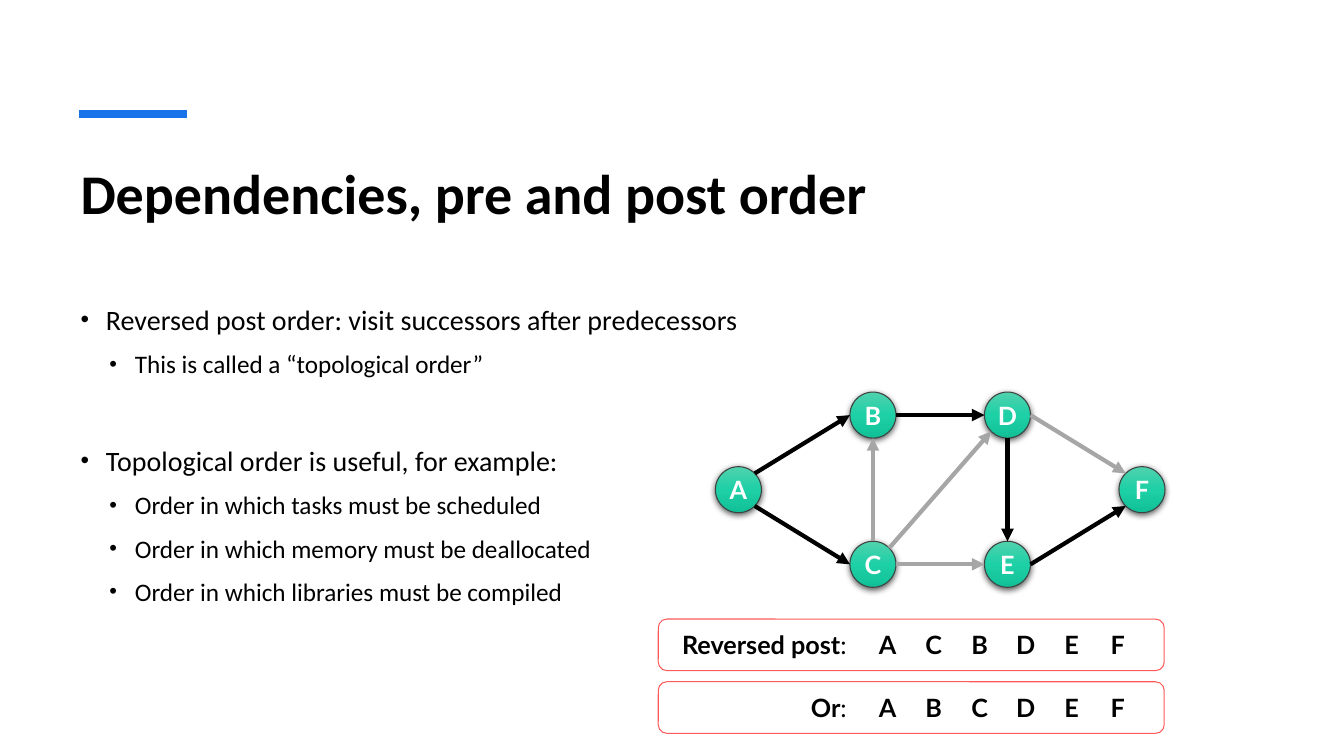
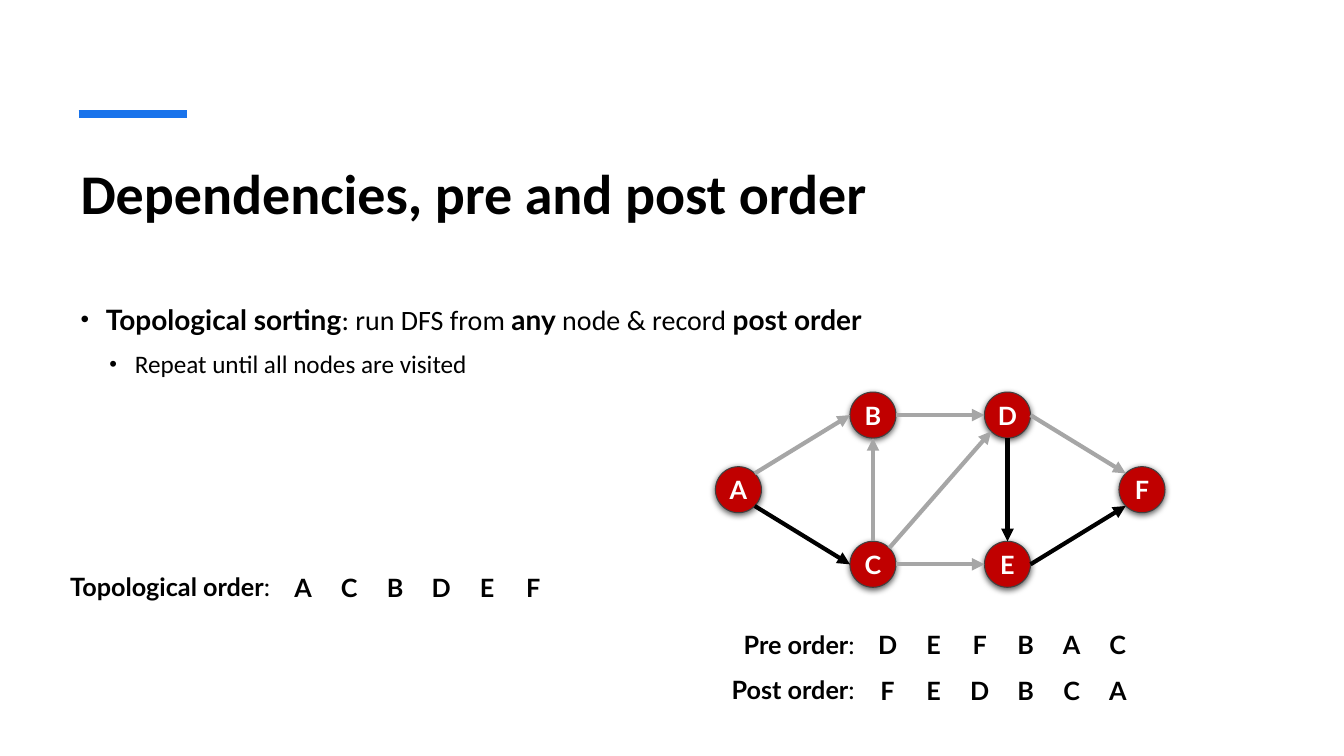
from math import cos, radians, sin

from lxml import etree
from pptx import Presentation
from pptx.dml.color import RGBColor
from pptx.enum.shapes import MSO_CONNECTOR, MSO_SHAPE
from pptx.enum.text import MSO_ANCHOR, PP_ALIGN
from pptx.oxml.ns import qn
from pptx.util import Cm, Pt

OVAL, ROUNDED = MSO_SHAPE.OVAL, MSO_SHAPE.ROUNDED_RECTANGLE
STRAIGHT = MSO_CONNECTOR.STRAIGHT
TOP, MIDDLE = MSO_ANCHOR.TOP, MSO_ANCHOR.MIDDLE
LEFT, CENTER, RIGHT = PP_ALIGN.LEFT, PP_ALIGN.CENTER, PP_ALIGN.RIGHT

# Shared look
BLACK, WHITE, GREY = "000000", "FFFFFF", "A6A6A6"
ACCENT, OUTLINE, FRAME = "1973EB", "404040", "FE5A5A"
GREEN = [(0, "50D2AE"), (50, "1DD0A6"), (100, "12C098")]
RED = "C00000"
FORMATS = {
    "title": {"name": "Calibri", "size": Pt(40), "bold": True},
    "body": {"name": "Calibri", "size": Pt(20), "bold": False},
    "body bold": {"name": "Lato", "size": Pt(20), "bold": True},
    "sub": {"name": "Calibri", "size": Pt(18), "bold": False},
    "label": {"name": "Lato", "size": Pt(18), "bold": True},
    "colon": {"name": "Lato", "size": Pt(18), "bold": False},
}
# Level: left margin in cm, space before in pt
LEVELS = [(0.64, 10), (1.37, 5)]
SECTION_GAP = 41

# Graph: column and row of each node, edges with the sides they join
NODES = {"A": (0, 1), "B": (1, 0), "C": (1, 2),
         "D": (2, 0), "E": (2, 2), "F": (3, 1)}
EDGES = [("A", "NE", "B", "W"), ("B", "E", "D", "W"), ("A", "SE", "C", "W"),
         ("C", "E", "E", "W"), ("C", "N", "B", "S"), ("D", "E", "F", "NW"),
         ("E", "E", "F", "SW"), ("D", "S", "E", "N"), ("C", "NE", "D", "SW")]
SIDES = ["N", "NW", "W", "SW", "S", "SE", "E", "NE"]
GRAPH_X, GRAPH_Y, COL_STEP, ROW_STEP = 18.61, 10.46, 3.39, 1.88
NODE = 1.16

# Slides; bullet: level, runs, space before (None for the usual one)
# Order: label, letters, label left, letters left, top, framed
TITLE = "Dependencies, pre and post order"
SLIDES = [
    {
        "body_size": (19.28, 10.9),
        "bullets": [
            (0, [("Reversed post order: visit successors after predecessors", "body")], None),
            (1, [("This is called a “topological order”", "sub")], None),
            (0, [("Topological order is useful, for example:", "body")], SECTION_GAP),
            (1, [("Order in which tasks must be scheduled", "sub")], None),
            (1, [("Order in which memory must be deallocated", "sub")], None),
            (1, [("Order in which libraries must be compiled", "sub")], None),
        ],
        "node_fill": GREEN,
        "used_edges": {"AB", "BD", "AC", "EF", "DE"},
        "label_gap": 0.2,
        "orders": [("Reversed post", "ACBDEF", 16.59, 21.79, 15.67, True),
                   ("Or", "ABCDEF", 16.59, 21.79, 17.25, True)],
    },
    {
        "body_size": (27.1, 5.03),
        "bullets": [
            (0, [("Topological sorting", "body bold"), (": run DFS from ", "body"),
                 ("any", "body bold"), (" node & record ", "body"),
                 ("post order", "body bold")], None),
            (1, [("Repeat until all nodes are visited", "sub")], None),
        ],
        "node_fill": RED,
        "used_edges": {"AC", "EF", "DE"},
        "label_gap": 0,
        "orders": [("Pre order", "DEFBAC", 16.94, 21.79, 15.67, False),
                   ("Post order", "FEDBCA", 16.94, 21.79, 16.81, False),
                   ("Topological order", "ACBDEF", 0.69, 7.06, 14.22, False)],
    },
]


def rgb(color):
    return RGBColor.from_string(color)


def sub(parent, tag, **attrs):
    return etree.SubElement(parent, qn(tag), {k: str(v) for k, v in attrs.items()})


def write(p, runs, color=BLACK, align=LEFT):
    p.alignment = align
    for text, style in runs:
        r = p.add_run()
        r.text = text
        for name, value in FORMATS[style].items():
            setattr(r.font, name, value)
        r.font.color.rgb = rgb(color)


def add_text(s, x, y, w, h):
    tf = s.shapes.add_textbox(Cm(x), Cm(y), Cm(w), Cm(h)).text_frame
    tf.word_wrap = True
    tf.vertical_anchor = TOP
    return tf


def add_line(s, start, end, color, width):
    line = s.shapes.add_connector(STRAIGHT, *[Cm(v) for v in (*start, *end)])
    line.line.color.rgb = rgb(color)
    line.line.width = Pt(width)
    sub(line.element.spPr, "a:effectLst")
    return line


def add_shape(s, kind, x, y, w, h, outline=None):
    sp = s.shapes.add_shape(kind, Cm(x), Cm(y), Cm(w), Cm(h))
    sp.shadow.inherit = False
    sp.fill.background()
    if outline:
        sp.line.color.rgb = rgb(outline)
        sp.line.width = Pt(0.75)
    else:
        sp.line.fill.background()
    return sp


def add_letter(s, letter, x, y, color=BLACK, outline=None):
    sp = add_shape(s, OVAL, x, y, NODE, NODE, outline)
    tf = sp.text_frame
    tf.margin_left = tf.margin_right = tf.margin_top = tf.margin_bottom = 0
    tf.word_wrap = False
    tf.vertical_anchor = MIDDLE
    write(tf.paragraphs[0], [(letter, "label")], color, CENTER)
    return sp


def fill_node(sp, fill):
    if isinstance(fill, str):
        sp.fill.solid()
        sp.fill.fore_color.rgb = rgb(fill)
    else:
        sp.fill.gradient()
        sp.fill.gradient_angle = 270
        stops = sp.element.spPr.find(".//" + qn("a:gsLst"))
        for stop in list(stops):
            stops.remove(stop)
        for pos, color in fill:
            sub(sub(stops, "a:gs", pos=pos * 1000), "a:srgbClr", val=color)
    # Soft shadow straight below
    shadow = sub(sp.element.spPr.find(qn("a:effectLst")), "a:outerShdw",
                 blurRad=Pt(4.5), dist=Pt(1.5), dir=5400000, rotWithShape=0)
    sub(sub(shadow, "a:srgbClr", val=BLACK), "a:alpha", val=63000)


def add_header(s):
    add_line(s, (1.98, 2.87), (4.7, 2.87), ACCENT, 6)
    tf = add_text(s, 1.78, 3.86, 30.25, 3)
    write(tf.paragraphs[0], [(TITLE, "title")])


def add_bullets(s, bullets, size):
    tf = add_text(s, 1.78, 7.32, *size)
    for i, (level, runs, gap) in enumerate(bullets):
        p = tf.add_paragraph() if i else tf.paragraphs[0]
        margin, before = LEVELS[level]
        p.level = level
        p.line_spacing = 1.2
        p.space_before = Pt(gap or before)
        write(p, runs)
        pPr = p._p.get_or_add_pPr()
        pPr.set("marL", str(Cm(margin)))
        pPr.set("indent", str(-Cm(0.64)))
        sub(pPr, "a:buSzPct", val=87000)
        sub(pPr, "a:buFont", typeface="Arial")
        sub(pPr, "a:buChar", char="•")


def node_center(name):
    col, row = NODES[name]
    return GRAPH_X + col * COL_STEP, GRAPH_Y + row * ROW_STEP


def node_side(name, side):
    x, y = node_center(name)
    angle = radians(90 + 45 * SIDES.index(side))
    return x + NODE / 2 * cos(angle), y - NODE / 2 * sin(angle)


def add_graph(s, fill, used):
    nodes = {}
    for name in NODES:
        x, y = node_center(name)
        nodes[name] = add_letter(s, name, x - NODE / 2, y - NODE / 2, WHITE, OUTLINE)
        fill_node(nodes[name], fill)
    for a, side_a, b, side_b in EDGES:
        edge = add_line(s, node_side(a, side_a), node_side(b, side_b),
                        BLACK if a + b in used else GREY, 3)
        sub(edge.element.spPr.find(qn("a:ln")), "a:tailEnd", type="triangle")
        # Glue both ends to their nodes
        glue = edge.element.find(".//" + qn("p:cNvCxnSpPr"))
        for tag, name, side in (("a:stCxn", a, side_a), ("a:endCxn", b, side_b)):
            sub(glue, tag, id=nodes[name].shape_id, idx=SIDES.index(side))


def add_order(s, label, letters, label_x, x, y, framed, gap):
    if framed:
        add_shape(s, ROUNDED, label_x, y - 0.07, 12.75, 1.3, FRAME)
    tf = add_text(s, label_x, y + 0.06, x - gap - label_x, 1.02)
    write(tf.paragraphs[0], [(label, "label"), (":", "colon")], align=RIGHT)
    for i, letter in enumerate(letters):
        add_letter(s, letter, x + i * NODE, y)


def main():
    prs = Presentation()
    prs.slide_width, prs.slide_height = Cm(33.87), Cm(19.05)
    for content in SLIDES:
        s = prs.slides.add_slide(prs.slide_layouts[6])
        add_header(s)
        add_bullets(s, content["bullets"], content["body_size"])
        add_graph(s, content["node_fill"], content["used_edges"])
        for order in content["orders"]:
            add_order(s, *order, content["label_gap"])
    prs.save("out.pptx")


if __name__ == "__main__":
    main()
